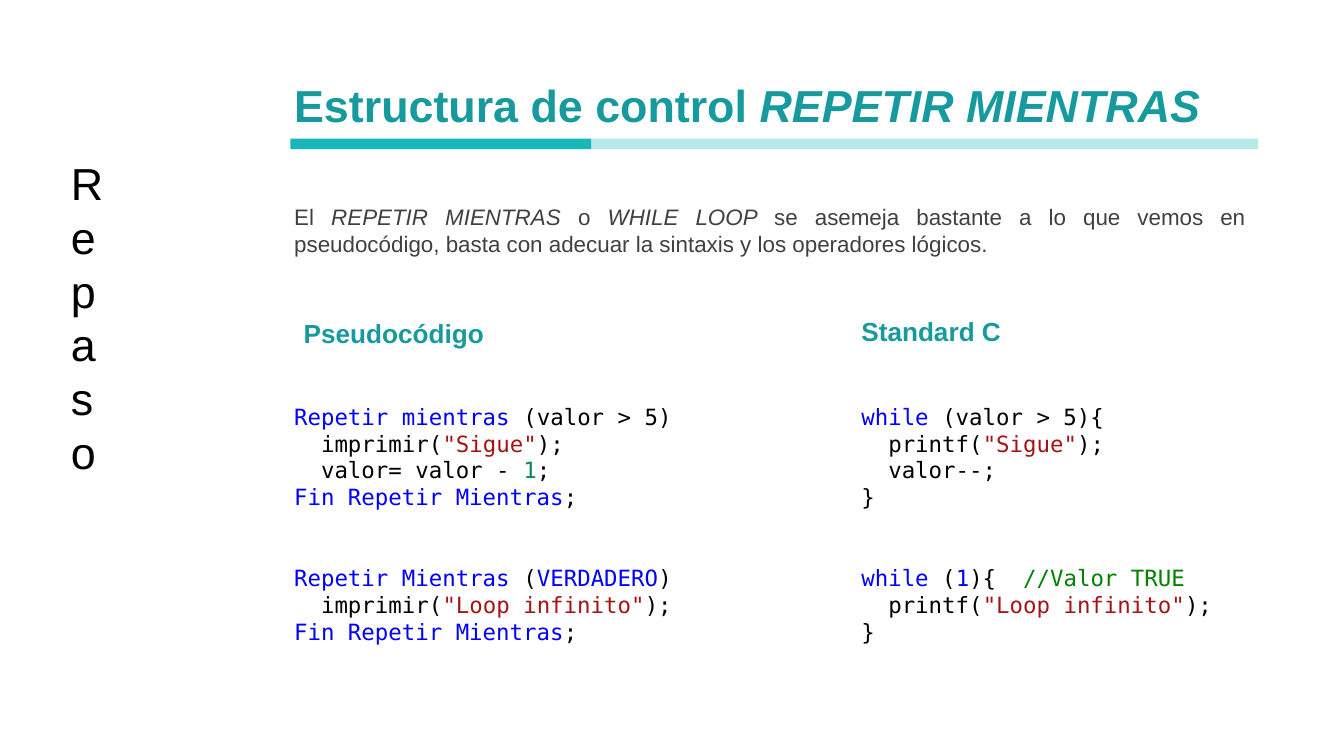
from dataclasses import dataclass
from typing import NamedTuple

from lxml.etree import SubElement
from pptx import Presentation
from pptx.dml.color import RGBColor as RGB
from pptx.enum.shapes import MSO_SHAPE as Shape
from pptx.enum.text import MSO_AUTO_SIZE as AutoSize, PP_ALIGN as Align
from pptx.oxml.ns import qn
from pptx.util import Cm, Pt


@dataclass(frozen=True)
class Theme:
    sans: str = "Arial"
    mono: str = "DejaVu Sans Mono"
    title: int = 24
    heading: int = 14
    body: int = 12
    teal: str = "179A9D"
    bar: str = "16B7B8"
    gray: str = "404040"
    black: str = "000000"
    keyword: str = "0000FF"
    string: str = "A31515"
    number: str = "09885A"
    comment: str = "008000"
    block_gap: float = 28.8  # two lines of code


T = Theme()


class Run(NamedTuple):
    text: str
    color: str = T.black
    italic: bool = False


class Box(NamedTuple):
    left: float
    top: float
    width: float
    height: float


class Style(NamedTuple):
    font: str
    size: int
    bold: bool = False
    align: Align = Align.LEFT


class Column(NamedTuple):
    heading: str
    heading_box: Box
    code_box: Box
    blocks: list[list[list[Run]]]


TITLE = Style(T.sans, T.title, bold=True)
INTRO = Style(T.sans, T.body, align=Align.JUSTIFY)
HEADING = Style(T.sans, T.heading, bold=True)
CODE = Style(T.mono, T.body)
SIDE = Style(T.sans, T.title)


def keyword(text: str) -> Run:
    return Run(text, T.keyword)


def call(function: str, text: str) -> list[Run]:
    """Indented code line that prints a string."""
    return [Run(f"  {function}("), Run(f'"{text}"', T.string), Run(");")]


END_LOOP = [keyword("Fin Repetir Mientras"), Run(";")]
CLOSE_BRACE = [Run("}")]

COLUMNS = [
    Column("Pseudocódigo", Box(5.49, 5.87, 8.41, 0.86), Box(5.31, 7.49, 8.59, 4.88), [
        [[keyword("Repetir mientras "), Run("(valor > 5)")],
         call("imprimir", "Sigue"),
         [Run("  valor= valor - "), Run("1", T.number), Run(";")],
         END_LOOP],
        [[keyword("Repetir Mientras"), Run(" ("), keyword("VERDADERO"), Run(")")],
         call("imprimir", "Loop infinito"),
         END_LOOP],
    ]),
    Column("Standard C", Box(16.03, 5.84, 8.41, 0.86), Box(16.03, 7.49, 7.75, 4.88), [
        [[keyword("while "), Run("(valor > 5){")],
         call("printf", "Sigue"),
         [Run("  valor--;")],
         CLOSE_BRACE],
        [[keyword("while"), Run(" ("), keyword("1"), Run("){  "),
          Run("//Valor TRUE", T.comment)],
         call("printf", "Loop infinito"),
         CLOSE_BRACE],
    ]),
]


def add_text(s, box: Box, style: Style, blocks: list[list[list[Run]]]):
    """Add a text box of blocks of lines, with a gap between the blocks."""
    sp = s.shapes.add_textbox(*map(Cm, box))
    tf = sp.text_frame
    tf.word_wrap = True
    tf.auto_size = AutoSize.SHAPE_TO_FIT_TEXT
    p = None
    for b, block in enumerate(blocks):
        for i, line in enumerate(block):
            p = tf.add_paragraph() if p is not None else tf.paragraphs[0]
            p.alignment = style.align
            if b and not i:
                p.space_before = Pt(T.block_gap)
            p.font.name = style.font
            p.font.size = Pt(style.size)
            p.font.bold = style.bold
            for run in line:
                r = p.add_run()
                r.text = run.text
                r.font.color.rgb = RGB.from_string(run.color)
                if run.italic:
                    r.font.italic = True
    return sp


def add_bar(s, box: Box, opacity: int = 100) -> None:
    sp = s.shapes.add_shape(Shape.RECTANGLE, *map(Cm, box))
    sp.shadow.inherit = False
    sp.line.fill.background()
    sp.fill.solid()
    sp.fill.fore_color.rgb = RGB.from_string(T.bar)
    if opacity < 100:
        color = sp.fill._xPr.find(f".//{qn('a:srgbClr')}")
        SubElement(color, qn("a:alpha"), val=str(opacity * 1000))


def main() -> None:
    prs = Presentation()
    prs.slide_width, prs.slide_height = Cm(25.4), Cm(14.29)
    s = prs.slides.add_slide(prs.slide_layouts[6])

    add_text(s, Box(5.31, 1.35, 18.49, 1.27), TITLE, [[[
        Run("Estructura de control ", T.teal),
        Run("REPETIR MIENTRAS", T.teal, italic=True),
    ]]])
    add_bar(s, Box(5.49, 2.62, 5.69, 0.2))
    add_bar(s, Box(11.18, 2.62, 12.6, 0.2), opacity=30)

    add_text(s, Box(5.31, 3.71, 18.49, 1.27), INTRO, [[[
        Run("El ", T.gray),
        Run("REPETIR MIENTRAS ", T.gray, italic=True),
        Run("o ", T.gray),
        Run("WHILE LOOP ", T.gray, italic=True),
        Run("se asemeja bastante a lo que vemos en pseudocódigo, basta con "
            "adecuar la sintaxis y los operadores lógicos.", T.gray),
    ]]])

    for column in COLUMNS:
        add_text(s, column.heading_box, HEADING, [[[Run(column.heading, T.teal)]]])
        add_text(s, column.code_box, CODE, column.blocks)

    side = add_text(s, Box(1.09, 2.82, 1.63, 7.32), SIDE, [[[Run("Repaso")]]])
    side.text_frame._txBody.bodyPr.set("vert", "wordArtVert")

    prs.save("out.pptx")


if __name__ == "__main__":
    main()
